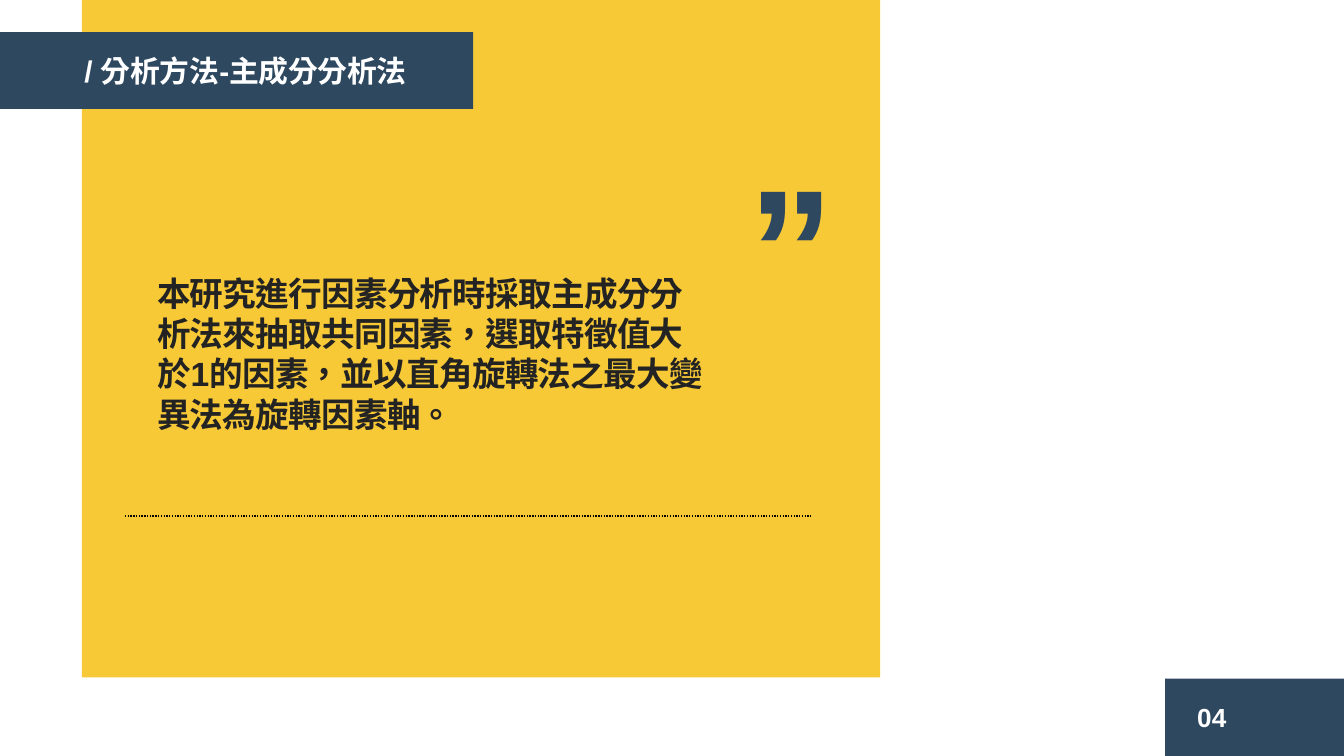
from dataclasses import dataclass

from lxml.etree import SubElement
from pptx import Presentation
from pptx.dml.color import RGBColor
from pptx.enum.dml import MSO_LINE
from pptx.enum.shapes import MSO_CONNECTOR, MSO_SHAPE
from pptx.oxml.ns import qn
from pptx.slide import Slide
from pptx.util import Inches, Pt

NAVY = "2E4860"
GOLD = "F8C937"
WHITE = "FFFFFF"
INK = "232323"
BLACK = "000000"


@dataclass
class Area:
    left: float
    top: float
    width: float
    height: float

    def emu(self) -> list[int]:
        return [Inches(n) for n in (self.left, self.top, self.width, self.height)]


@dataclass
class Panel:
    area: Area
    fill: str


@dataclass
class Label:
    area: Area
    text: str
    size: int
    color: str
    track: int = 0


def paint(target, color: str) -> None:
    target.rgb = RGBColor.from_string(color)


def draw_panel(slide: Slide, panel: Panel) -> None:
    shape = slide.shapes.add_shape(MSO_SHAPE.RECTANGLE, *panel.area.emu())
    shape.shadow.inherit = False
    shape.fill.solid()
    paint(shape.fill.fore_color, panel.fill)
    shape.line.fill.background()


def draw_label(slide: Slide, label: Label) -> None:
    frame = slide.shapes.add_textbox(*label.area.emu()).text_frame
    frame.word_wrap = True
    run = frame.paragraphs[0].add_run()
    run.text = label.text
    style = {"name": "Arial", "size": Pt(label.size), "bold": True}
    for key, value in style.items():
        setattr(run.font, key, value)
    paint(run.font.color, label.color)
    props = run._r.get_or_add_rPr()
    props.set("lang", "zh-TW")
    if label.track:
        props.set("spc", str(label.track))


def draw_rule(slide: Slide, left: float, right: float, top: float) -> None:
    rule = slide.shapes.add_connector(
        MSO_CONNECTOR.STRAIGHT, Inches(left), Inches(top), Inches(right), Inches(top)
    )
    style = {"width": Pt(0.75), "dash_style": MSO_LINE.ROUND_DOT}
    for key, value in style.items():
        setattr(rule.line, key, value)
    paint(rule.line.color, BLACK)
    SubElement(rule._element.spPr, qn("a:effectLst"))


PANELS = [
    Panel(Area(0.61, 0, 5.94, 5.04), GOLD),
    Panel(Area(8.67, 5.05, 1.33, 0.59), NAVY),
    Panel(Area(0, 0.24, 3.52, 0.57), NAVY),
]

LABELS = [
    Label(Area(8.81, 5.17, 0.5, 0.34), "04", 14, WHITE),
    Label(Area(0.53, 0.34, 3.62, 0.64), "/ 分析方法-主成分分析法", 16, WHITE, -10),
    Label(Area(5.47, 0.98, 0.4, 1.65), "”", 92, NAVY),
    Label(
        Area(1.07, 1.98, 4.32, 1.31),
        "本研究進行因素分析時採取主成分分析法來抽取共同因素，選取特徵值大於1的因素，"
        "並以直角旋轉法之最大變異法為旋轉因素軸。",
        18,
        INK,
        -40,
    ),
]


def main() -> None:
    deck = Presentation()
    deck.slide_width = Inches(10)
    deck.slide_height = Inches(10) * 9 // 16
    slide = deck.slides.add_slide(deck.slide_layouts[6])
    for panel in PANELS:
        draw_panel(slide, panel)
    draw_rule(slide, 0.93, 6.04, 3.84)
    for label in LABELS:
        draw_label(slide, label)
    deck.save("out.pptx")


if __name__ == "__main__":
    main()
